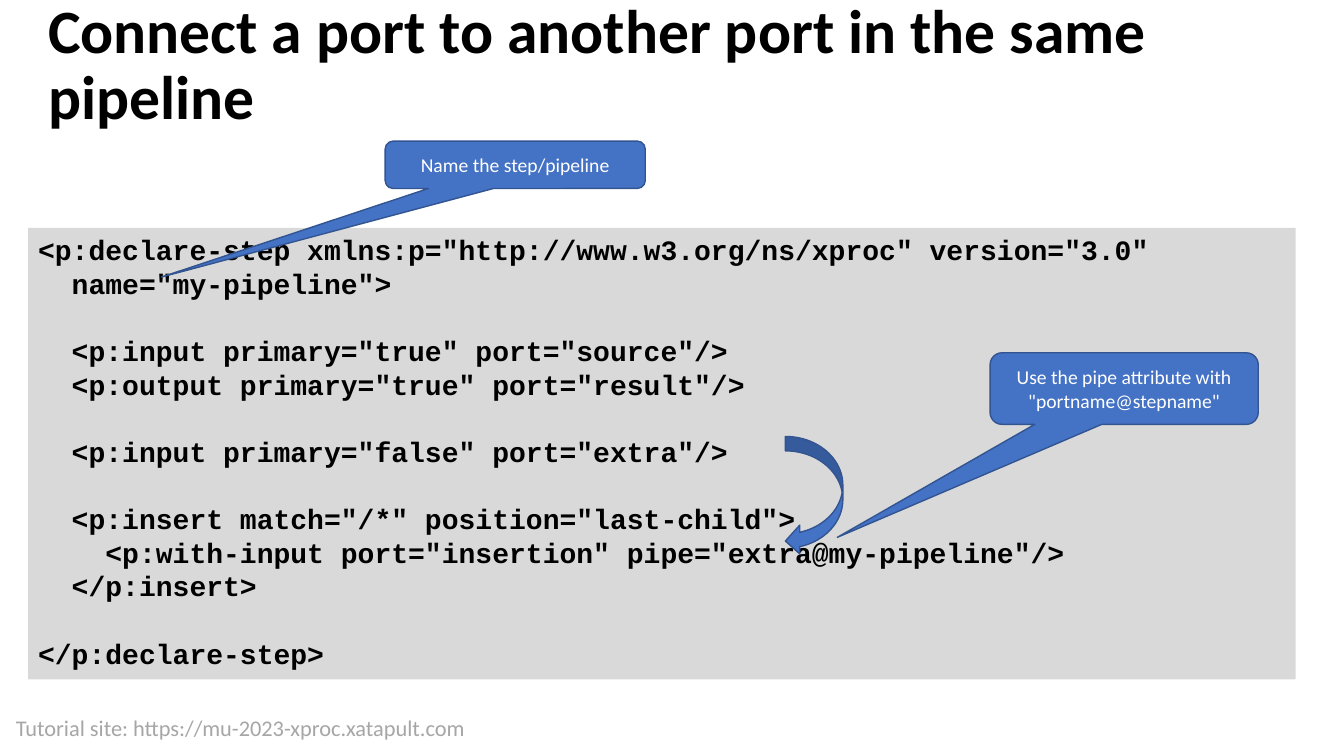
import pptx
import pptx.dml.color
import pptx.enum.shapes
import pptx.enum.text
import pptx.util
from pptx.util import Inches

SHAPES = pptx.enum.shapes.MSO_SHAPE
ALIGN = pptx.enum.text.PP_ALIGN
ANCHOR = pptx.enum.text.MSO_ANCHOR

BLACK = "000000"
WHITE = "FFFFFF"
BLUE = "4472C4"
DARK_BLUE = "325491"

PIPELINE_CODE = """\
<p:declare-step xmlns:p="http://www.w3.org/ns/xproc" version="3.0"
  name="my-pipeline">

  <p:input primary="true" port="source"/>
  <p:output primary="true" port="result"/>

  <p:input primary="false" port="extra"/>

  <p:insert match="/*" position="last-child">
    <p:with-input port="insertion" pipe="extra@my-pipeline"/>
  </p:insert>

</p:declare-step>"""


def color(hex_string):
    return pptx.dml.color.RGBColor.from_string(hex_string)


def write(box, text, size, font, text_color, bold=False, align=ALIGN.LEFT,
          anchor=ANCHOR.TOP, line_spacing=None):
    """Fill the box with one paragraph per line of text."""
    frame = box.text_frame
    frame.word_wrap = True
    frame.vertical_anchor = anchor
    for number, line in enumerate(text.split("\n")):
        para = frame.add_paragraph() if number else frame.paragraphs[0]
        para.alignment = align
        para.line_spacing = line_spacing
        para.font.size = pptx.util.Pt(size)
        if line:
            span = para.add_run()
            span.text = line
            span.font.name = font
            span.font.size = pptx.util.Pt(size)
            span.font.bold = bold
            span.font.color.rgb = color(text_color)


def add_text(page, place, text, size, text_color, **style):
    box = page.shapes.add_textbox(*map(Inches, place))
    write(box, text, size, "Calibri", text_color, **style)


def add_filled_shape(page, kind, place, fill, line=None):
    shape = page.shapes.add_shape(kind, *map(Inches, place))
    shape.shadow.inherit = False
    shape.fill.solid()
    shape.fill.fore_color.rgb = color(fill)
    if line:
        shape.line.color.rgb = color(line)
        shape.line.width = pptx.util.Pt(1)
    else:
        shape.line.fill.background()
    return shape


def add_code(page, place, code):
    panel = add_filled_shape(page, SHAPES.RECTANGLE, place, "D9D9D9")
    write(panel, code, 20, "Courier New", BLACK, bold=True)


def add_callout(page, place, tip, text):
    """Tip is the pointer's offset from the centre, in widths and heights."""
    callout = add_filled_shape(page, SHAPES.ROUNDED_RECTANGULAR_CALLOUT,
                               place, BLUE, DARK_BLUE)
    callout.adjustments[0], callout.adjustments[1] = tip
    write(callout, text, 14, "Calibri", WHITE, align=ALIGN.CENTER,
          anchor=ANCHOR.MIDDLE)


def add_port_arrow(page, place):
    arrow = add_filled_shape(page, SHAPES.CURVED_RIGHT_ARROW, place,
                             BLUE, DARK_BLUE)
    arrow.element.spPr.xfrm.set("flipH", "1")


def main():
    deck = pptx.Presentation()
    deck.slide_width, deck.slide_height = Inches(13.33), Inches(7.5)
    page = deck.slides.add_slide(deck.slide_layouts[6])

    add_text(page, (0.06, 7.04, 5.91, 0.37),
             "Tutorial site: https://mu-2023-xproc.xatapult.com", 16, "A6A6A6")
    add_text(page, (0.38, 0.19, 12.71, 0.94),
             "Connect a port to another port in the same pipeline", 44, BLACK,
             bold=True, anchor=ANCHOR.MIDDLE, line_spacing=0.9)
    add_code(page, (0.28, 2.26, 12.57, 4.48), PIPELINE_CODE)
    add_callout(page, (3.82, 1.4, 2.58, 0.47), (-1.36, 2.37),
                "Name the step/pipeline")
    add_callout(page, (9.82, 3.5, 2.66, 0.71), (-1.07, 2.08),
                'Use the pipe attribute with "portname@stepname"')
    add_port_arrow(page, (7.79, 4.33, 0.57, 1.18))

    deck.save("out.pptx")


if __name__ == "__main__":
    main()
